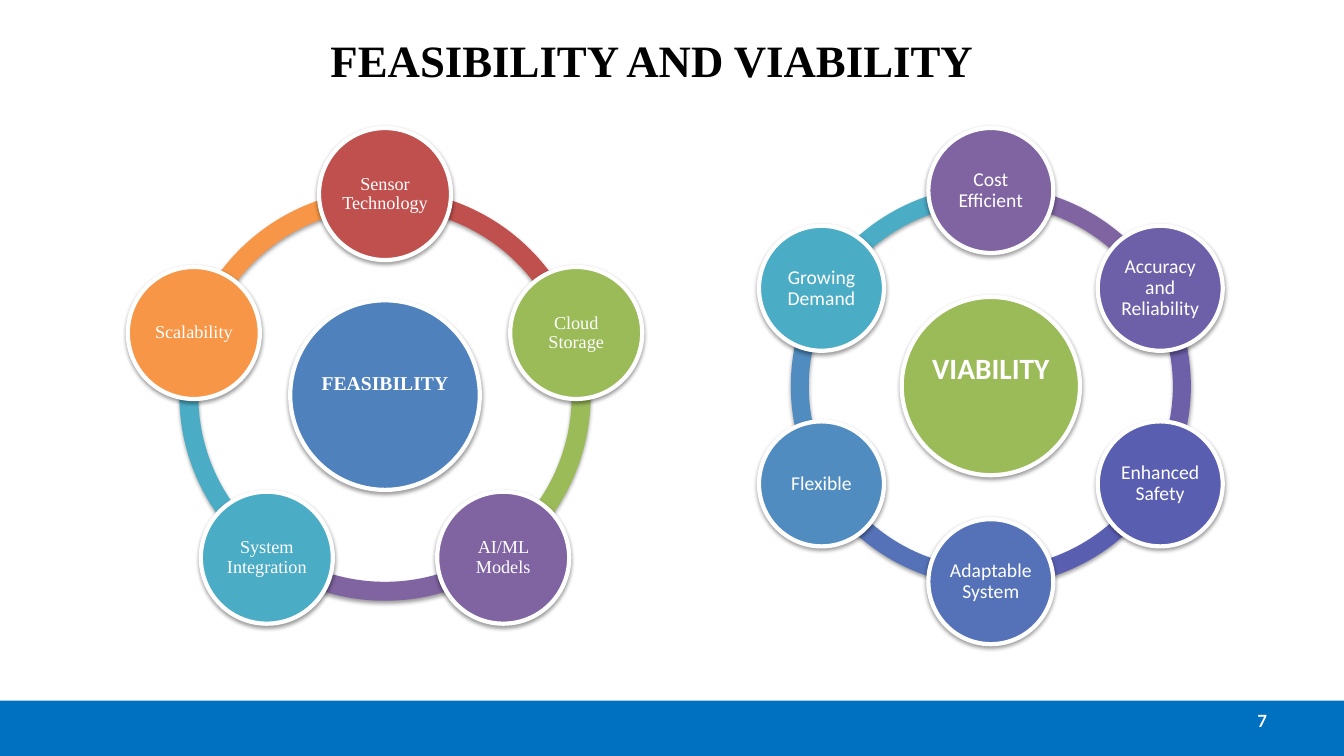
import math

import pptx
import pptx.dml.color
import pptx.enum.shapes
import pptx.enum.text
import pptx.oxml
import pptx.oxml.ns
import pptx.util

Pt = pptx.util.Pt
Shape = pptx.enum.shapes.MSO_SHAPE
Align = pptx.enum.text.PP_ALIGN
Anchor = pptx.enum.text.MSO_ANCHOR

WHITE = "FFFFFF"
SERIF = "Times New Roman"

FEASIBILITY = [
    ("Sensor Technology", "C0504D"),
    ("Cloud Storage", "9BBB59"),
    ("AI/ML Models", "8064A2"),
    ("System Integration", "4BACC6"),
    ("Scalability", "F79646"),
]
VIABILITY = [
    ("Cost Efficient", "8064A2"),
    ("Accuracy and Reliability", "6E5FA9"),
    ("Enhanced Safety", "5A5EB1"),
    ("Adaptable System", "5572B8"),
    ("Flexible", "508CBF"),
    ("Growing Demand", "4BACC6"),
]


def rgb(value):
    return pptx.dml.color.RGBColor.from_string(value)


class SlideBuilder:
    def __init__(self, slide):
        self.slide = slide

    def shadow(self, shape, color="000000", alpha=38, blur=3.1, distance=1.6):
        """Cast a soft shadow straight down from the shape."""
        shape.shadow.inherit = False
        effects = shape._element.spPr.find(pptx.oxml.ns.qn("a:effectLst"))
        effects.append(pptx.oxml.parse_xml(
            f'<a:outerShdw {pptx.oxml.ns.nsdecls("a")} blurRad="{Pt(blur)}" '
            f'dist="{Pt(distance)}" dir="5400000" rotWithShape="0">'
            f'<a:srgbClr val="{color}"><a:alpha val="{alpha * 1000}"/></a:srgbClr>'
            f'</a:outerShdw>'))

    def shape(self, shapes, kind, left, top, width, height, fill):
        shape = shapes.add_shape(kind, Pt(left), Pt(top), Pt(width), Pt(height))
        shape.fill.solid()
        shape.fill.fore_color.rgb = rgb(fill)
        shape.line.fill.background()
        return shape

    def label(self, shape, text, size, font, color=WHITE, bold=False,
              align=Align.CENTER, spacing=1.0):
        frame = shape.text_frame
        frame.word_wrap = True
        frame.vertical_anchor = Anchor.MIDDLE
        paragraph = frame.paragraphs[0]
        paragraph.alignment = align
        paragraph.line_spacing = spacing
        run = paragraph.add_run()
        run.text = text
        run.font.size = Pt(size)
        run.font.name = font
        run.font.bold = bold
        run.font.color.rgb = rgb(color)

    def text(self, left, top, width, height, text, size, font, **style):
        box = self.slide.shapes.add_textbox(Pt(left), Pt(top), Pt(width), Pt(height))
        self.label(box, text, size, font, **style)

    def disc(self, shapes, x, y, diameter, fill, text, size, font, bold=False, lift=0):
        """Draw a labelled circle centred on x, y; lift raises its label."""
        disc = self.shape(shapes, Shape.OVAL, x - diameter / 2, y - diameter / 2,
                          diameter, diameter, fill)
        disc.line.color.rgb = rgb(WHITE)
        disc.line.width = Pt(3)
        self.shadow(disc)
        frame = disc.text_frame
        frame.margin_left = frame.margin_right = frame.margin_top = Pt(1.3)
        frame.margin_bottom = Pt(1.3 + 2 * lift)
        self.label(disc, text, size, font, bold=bold, spacing=0.9)

    def arc(self, shapes, x, y, diameter, start, end, thickness, fill):
        """Draw a ring segment clockwise between two angles in degrees."""
        arc = self.shape(shapes, Shape.BLOCK_ARC, x - diameter / 2, y - diameter / 2,
                         diameter, diameter, fill)
        # Angles are stored in 60000ths of a degree, adjustments in 100000ths
        arc.adjustments[0] = start % 360 * 0.6
        arc.adjustments[1] = end % 360 * 0.6
        arc.adjustments[2] = thickness
        self.shadow(arc)

    def wheel(self, x, y, nodes, font, size, ring, orbit, node, thickness, hub):
        """Draw a hub circled by nodes, each joined to the next by an arc."""
        shapes = self.slide.shapes.add_group_shape().shapes
        step = 360 / len(nodes)
        angles = [270 + step * index for index in range(len(nodes))]
        for angle, (text, fill) in reversed(list(zip(angles, nodes))):
            self.arc(shapes, x, y, ring, angle, angle + step, thickness, fill)
        self.disc(shapes, x, y, font=font, bold=True, **hub)
        for angle, (text, fill) in zip(angles, nodes):
            turn = math.radians(angle)
            self.disc(shapes, x + orbit * math.cos(turn), y + orbit * math.sin(turn),
                      node, fill, text, size, font)


def main():
    presentation = pptx.Presentation()
    presentation.slide_width = Pt(960)
    presentation.slide_height = Pt(540)
    slide = presentation.slides.add_slide(presentation.slide_layouts[6])
    builder = SlideBuilder(slide)

    footer = builder.shape(slide.shapes, Shape.RECTANGLE, 0, 500.4, 960, 39.6, "0070C0")
    builder.shadow(footer, "808080", 35, 0, 1.8)
    builder.text(33.8, 2.9, 864, 79.2, "FEASIBILITY AND VIABILITY", 32, SERIF,
                 color="000000", bold=True)
    builder.text(688.3, 500.4, 223.9, 28.8, "7", 12, "Lato", bold=True,
                 align=Align.RIGHT)

    builder.wheel(275, 282.2, FEASIBILITY, SERIF, 13, ring=293.8, orbit=143.6,
                  node=94.3, thickness=0.046,
                  hub=dict(diameter=135.4, fill="4F81BD", text="FEASIBILITY",
                           size=14, lift=7.5))
    builder.wheel(707.8, 275.8, VIABILITY, "Calibri", 14, ring=285.8, orbit=139.7,
                  node=89.3, thickness=0.045,
                  hub=dict(diameter=127.4, fill="9BBB59", text="VIABILITY",
                           size=21, lift=11.5))

    presentation.save("out.pptx")


if __name__ == "__main__":
    main()
